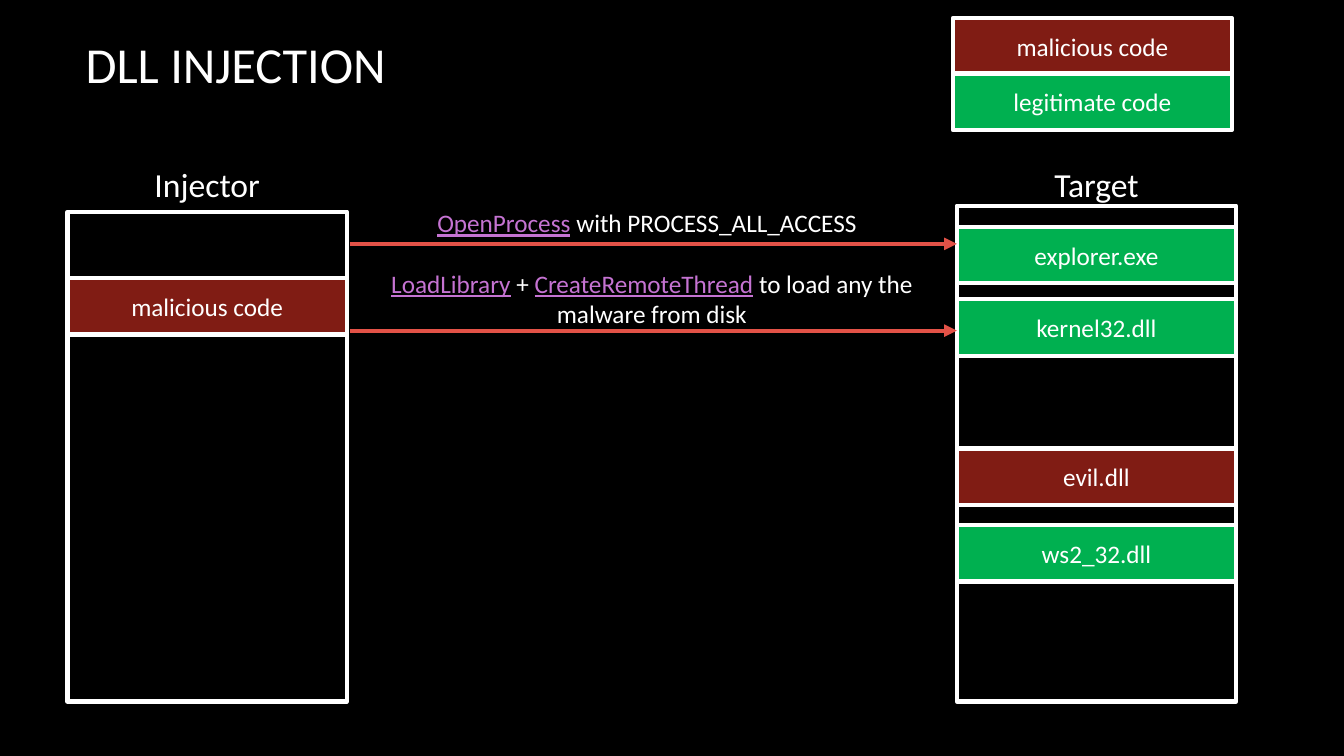
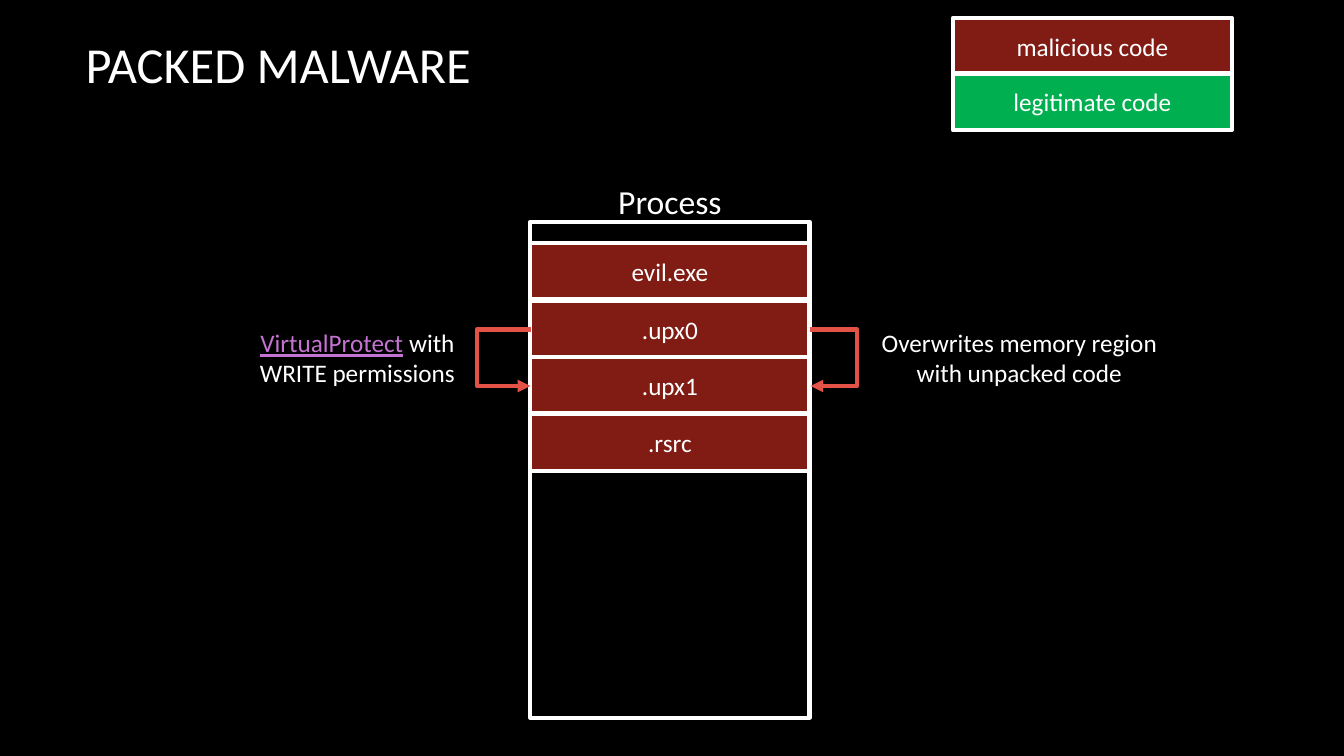
from pptx import Presentation
from pptx.dml.color import RGBColor
from pptx.enum.shapes import MSO_CONNECTOR as Link, MSO_SHAPE as Shape
from pptx.enum.text import MSO_ANCHOR as Anchor, PP_ALIGN as Align
from pptx.oxml.ns import qn
from pptx.util import Inches, Pt
from lxml.etree import SubElement

FONT = "Calibri"
BLACK, WHITE = "000000", "FFFFFF"
BAD, GOOD = "801C14", "00B050"
ARROW, API = "E25247", "C573D2"
COL, ROW = 2.77, 0.56  # width of a memory column, height of a block
HEAD = 0.5
LEGEND = [("malicious code", BAD), ("legitimate code", GOOD)]
CALLS = {"OpenProcess", "LoadLibrary", "CreateRemoteThread", "VirtualProtect"}

# columns: heading, left, heading top, frame top, frame height, blocks
# notes: left, top, width, height, text parts
# arrows: left, right, height on the slide
# loops: start, reach, side (1 opens to the right, -1 to the left)
SLIDES = [
    dict(
        title="DLL INJECTION",
        columns=[
            ("Injector", 0.67, 1.58, 2.1, 4.86,
             [("malicious code", 2.76, BAD)]),
            ("Target", 9.49, 1.58, 2.04, 4.92,
             [("explorer.exe", 2.25, GOOD), ("kernel32.dll", 2.97, GOOD),
              ("evil.dll", 4.45, BAD), ("ws2_32.dll", 5.21, GOOD)]),
        ],
        notes=[
            (3.44, 2.01, 6.01, 0.4,
             ["OpenProcess", " with PROCESS_ALL_ACCESS "]),
            (3.44, 2.61, 6.05, 0.71,
             ["LoadLibrary", " + ", "CreateRemoteThread",
              " to load any the malware from disk"]),
        ],
        arrows=[(3.47, 9.49, 2.42), (3.47, 9.49, 3.28)],
        loops=[],
    ),
    dict(
        title="PACKED MALWARE",
        columns=[
            ("Process", 5.26, 1.75, 2.2, 4.92,
             [("evil.exe", 2.41, BAD), (".upx0", 2.99, BAD),
              (".upx1", 3.54, BAD), (".rsrc", 4.11, BAD)]),
        ],
        notes=[
            (2.25, 3.2, 2.59, 0.71,
             ["VirtualProtect", " with WRITE permissions"]),
            (8.49, 3.2, 3.24, 0.71,
             ["Overwrites memory region with unpacked code"]),
        ],
        arrows=[],
        loops=[(5.26, 0.55, -1), (8.03, 0.48, 1)],
    ),
]
LOOP_TOP, LOOP_GAP = 3.27, 0.01


def color(code):
    """Turn a hex string into a colour."""
    return RGBColor.from_string(code)


def style(run, size, code=WHITE):
    """Give a run its font, size and colour."""
    run.font.name, run.font.size = FONT, Pt(size)
    run.font.color.rgb = color(code)


def label(slide, box, parts, size, align=Align.CENTER, anchor=Anchor.TOP):
    """Add a text box; names of calls are coloured and underlined."""
    frame = slide.shapes.add_textbox(*map(Inches, box)).text_frame
    frame.word_wrap, frame.vertical_anchor = True, anchor
    para = frame.paragraphs[0]
    para.alignment = align
    for part in parts:
        run = para.add_run()
        run.text = part
        style(run, size, API if part in CALLS else WHITE)
        if part in CALLS:
            run.font.underline = True


def block(slide, box, fill=None, text=""):
    """Add a white-edged box, hollow unless a fill is given."""
    shape = slide.shapes.add_shape(Shape.RECTANGLE, *map(Inches, box))
    shape.shadow.inherit = False
    shape.line.color.rgb, shape.line.width = color(WHITE), Pt(3)
    if not fill:
        shape.fill.background()
        return
    shape.fill.solid()
    shape.fill.fore_color.rgb = color(fill)
    frame = shape.text_frame
    frame.text, frame.vertical_anchor = text, Anchor.MIDDLE
    frame.paragraphs[0].alignment = Align.CENTER
    style(frame.paragraphs[0].runs[0], 18)


def arrow(slide, kind, *ends):
    """Add a red connector with an arrowhead and return it."""
    link = slide.shapes.add_connector(kind, *map(Inches, ends))
    link.line.color.rgb, link.line.width = color(ARROW), Pt(3)
    SubElement(link.line._get_or_add_ln(), qn("a:tailEnd"), type="triangle")
    SubElement(link._element.spPr, qn("a:effectLst"))
    return link


def loop(slide, left, reach, side):
    """Add an elbow arrow that runs out of one block and into the next."""
    link = arrow(slide, Link.ELBOW, left, LOOP_TOP,
                 left + LOOP_GAP, LOOP_TOP + ROW)
    props = link._element.spPr
    bend = round(reach / LOOP_GAP * 100000)
    geom = props.find(qn("a:prstGeom"))
    SubElement(geom.find(qn("a:avLst")), qn("a:gd"),
               name="adj1", fmla=f"val {bend}")
    if side < 0:
        turn = props.find(qn("a:xfrm"))
        turn.set("rot", "10800000")
        turn.set("flipV", "1")


def column(slide, name, left, top, start, height, blocks):
    """Draw one memory column with its heading and blocks."""
    label(slide, (left, top, COL, HEAD), [name], 24)
    block(slide, (left, start, COL, height))
    for text, y, fill in blocks:
        block(slide, (left, y, COL, ROW), fill, text)


def build(deck, data):
    """Add one slide with title, legend, columns, notes and arrows."""
    slide = deck.slides.add_slide(deck.slide_layouts[6])
    label(slide, (0.75, 0.19, 11.08, 0.88), [data["title"]], 36,
          Align.LEFT, Anchor.MIDDLE)
    for i, (text, fill) in enumerate(LEGEND):
        block(slide, (9.45, 0.18 + i * 0.55, COL, ROW), fill, text)
    for item in data["columns"]:
        column(slide, *item)
    for *box, parts in data["notes"]:
        label(slide, box, parts, 18)
    for left, right, y in data["arrows"]:
        arrow(slide, Link.STRAIGHT, left, y, right, y)
    for item in data["loops"]:
        loop(slide, *item)


deck = Presentation()
deck.slide_width, deck.slide_height = Inches(13.33), Inches(7.5)
back = deck.slide_master.background.fill
back.solid()
back.fore_color.rgb = color(BLACK)
for data in SLIDES:
    build(deck, data)
deck.save("out.pptx")
